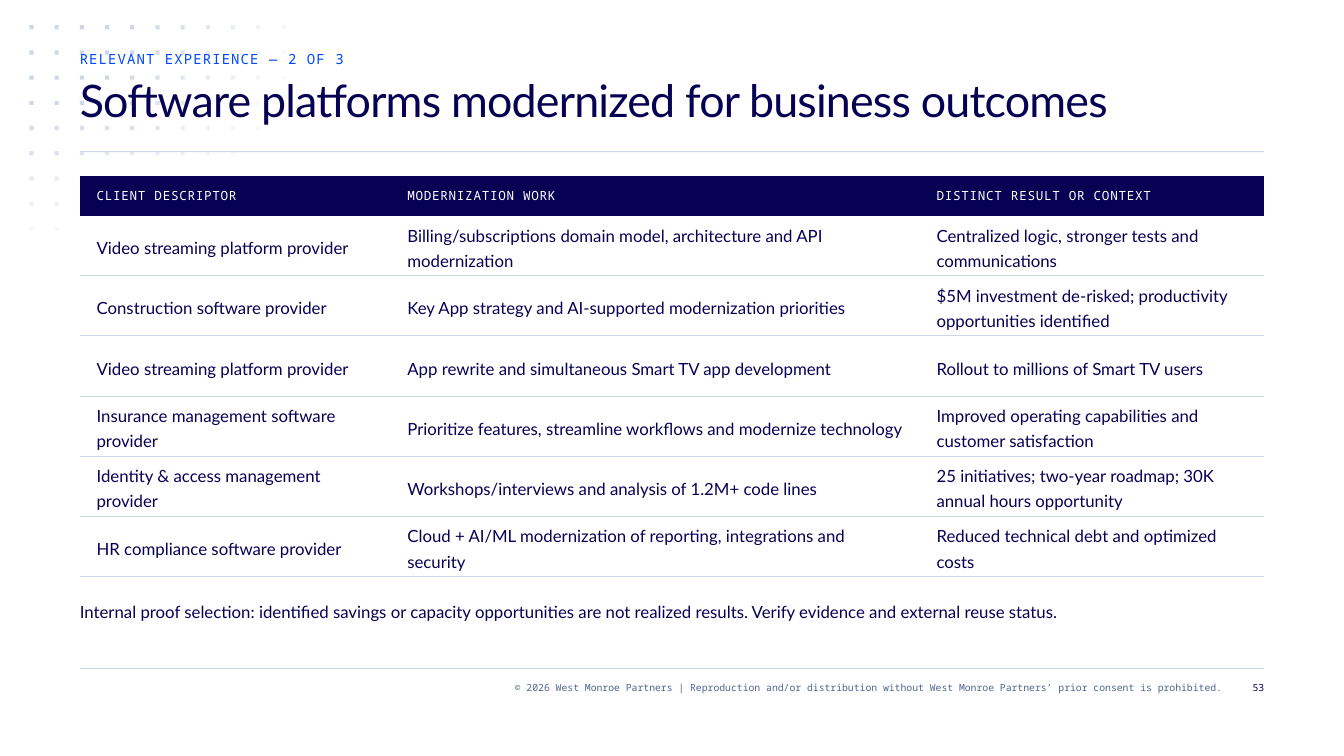
from math import hypot

from lxml.etree import SubElement
from pptx import Presentation
from pptx.dml.color import RGBColor
from pptx.enum.shapes import MSO_SHAPE
from pptx.enum.text import MSO_ANCHOR, PP_ALIGN
from pptx.oxml import parse_xml
from pptx.oxml.ns import nsdecls, qn
from pptx.util import Pt

NAVY, BLUE, SLATE, MIST, WHITE = "070154", "0047FF", "50658E", "CED7E6", "FFFFFF"
SANS, MONO = "Lato", "Noto Sans Mono"
LEFT, WIDTH = 57, 846
NO_STYLE = "{2D5ABB26-0587-4C30-8999-92F81FD0307C}"

COLUMN_WIDTHS = [222, 378, 246]
HEADER_HEIGHT, ROW_HEIGHT = 28, 43
ROWS = [
    ("CLIENT DESCRIPTOR", "MODERNIZATION WORK", "DISTINCT RESULT OR CONTEXT"),
    ("Video streaming platform provider",
     "Billing/subscriptions domain model, architecture and API modernization",
     "Centralized logic, stronger tests and communications"),
    ("Construction software provider",
     "Key App strategy and AI-supported modernization priorities",
     "$5M investment de-risked; productivity opportunities identified"),
    ("Video streaming platform provider",
     "App rewrite and simultaneous Smart TV app development",
     "Rollout to millions of Smart TV users"),
    ("Insurance management software provider",
     "Prioritize features, streamline workflows and modernize technology",
     "Improved operating capabilities and customer satisfaction"),
    ("Identity & access management provider",
     "Workshops/interviews and analysis of 1.2M+ code lines",
     "25 initiatives; two-year roadmap; 30K annual hours opportunity"),
    ("HR compliance software provider",
     "Cloud + AI/ML modernization of reporting, integrations and security",
     "Reduced technical debt and optimized costs"),
]


def color(value):
    return RGBColor.from_string(value)


def set_text(frame, text, font, size, ink, line, spacing=0, align=PP_ALIGN.LEFT):
    frame.text = text
    frame.word_wrap = True
    paragraph = frame.paragraphs[0]
    paragraph.alignment = align
    paragraph.line_spacing = Pt(line)
    span = paragraph.runs[0]
    span.font.name = font
    span.font.size = Pt(size)
    span.font.color.rgb = color(ink)
    if spacing:
        span._r.get_or_add_rPr().set("spc", str(round(spacing * 100)))


def add_text(page, left, top, width, height, text, *style, **options):
    box = page.shapes.add_textbox(Pt(left), Pt(top), Pt(width), Pt(height))
    frame = box.text_frame
    frame.margin_left = frame.margin_top = frame.margin_right = frame.margin_bottom = 0
    set_text(frame, text, *style, **options)


def add_block(page, left, top, width, height, opacity=100):
    block = page.shapes.add_shape(MSO_SHAPE.RECTANGLE, Pt(left), Pt(top), Pt(width), Pt(height))
    block.shadow.inherit = False
    block.line.fill.background()
    block.fill.solid()
    block.fill.fore_color.rgb = color(MIST)
    if opacity < 100:
        tint = block._element.spPr.find(qn("a:solidFill"))[0]
        SubElement(tint, qn("a:alpha")).set("val", str(opacity * 1000))


def add_dots(page):
    # Dots fade out along an ellipse around the top left corner
    for column in range(11):
        for row in range(9):
            distance = hypot(column / 11.08, row / 9.07)
            opacity = min(100, round(153 * (1 - distance)))
            if opacity > 1:
                add_block(page, 21 + 18 * column, 18 + 18 * row, 3, 3, opacity)


def add_bottom_border(cell):
    border = parse_xml(
        f'<a:lnB {nsdecls("a")} w="{Pt(0.75)}"><a:solidFill>'
        f'<a:srgbClr val="{MIST}"/></a:solidFill></a:lnB>')
    cell._tc.get_or_add_tcPr().insert(0, border)


def add_experience_table(page):
    height = HEADER_HEIGHT + ROW_HEIGHT * (len(ROWS) - 1)
    frame = page.shapes.add_table(len(ROWS), len(COLUMN_WIDTHS),
                                  Pt(LEFT), Pt(126), Pt(WIDTH), Pt(height))
    table = frame.table
    table.horz_banding = False
    table._tbl.tblPr.find(qn("a:tableStyleId")).text = NO_STYLE
    for column, width in zip(table.columns, COLUMN_WIDTHS):
        column.width = Pt(width)
    for index, texts in enumerate(ROWS):
        header = index == 0
        table.rows[index].height = Pt(HEADER_HEIGHT if header else ROW_HEIGHT)
        for cell, text in zip(table.rows[index].cells, texts):
            cell.margin_left = cell.margin_right = Pt(12)
            cell.margin_top = cell.margin_bottom = 0
            cell.vertical_anchor = MSO_ANCHOR.MIDDLE
            cell.fill.solid()
            cell.fill.fore_color.rgb = color(NAVY if header else WHITE)
            if header:
                set_text(cell.text_frame, text, MONO, 9, WHITE, 12, spacing=0.5)
            else:
                set_text(cell.text_frame, text, SANS, 12, NAVY, 18)
                add_bottom_border(cell)


def main():
    deck = Presentation()
    deck.slide_width, deck.slide_height = Pt(960), Pt(540)
    page = deck.slides.add_slide(deck.slide_layouts[6])

    # Background dots and rules
    add_dots(page)
    for top in (108, 477):
        add_block(page, LEFT, top, WIDTH, 0.75)

    # Heading
    add_text(page, LEFT, 36, WIDTH, 12, "RELEVANT EXPERIENCE — 2 OF 3",
             MONO, 10, BLUE, 12, spacing=0.8)
    add_text(page, LEFT, 54, WIDTH, 54, "Software platforms modernized for business outcomes",
             SANS, 32, NAVY, 36, spacing=-0.6)

    # Table and note
    add_experience_table(page)
    add_text(page, LEFT, 426, WIDTH, 36,
             "Internal proof selection: identified savings or capacity opportunities are not "
             "realized results. Verify evidence and external reuse status.",
             SANS, 12, NAVY, 18)

    # Footer
    add_text(page, 171, 486, 702, 18,
             "© 2026 West Monroe Partners | Reproduction and/or distribution without "
             "West Monroe Partners’ prior consent is prohibited.",
             MONO, 7, SLATE, 9, align=PP_ALIGN.RIGHT)
    add_text(page, 879, 486, 24, 18, "53", MONO, 7, NAVY, 9, align=PP_ALIGN.RIGHT)

    deck.save("out.pptx")


if __name__ == "__main__":
    main()
